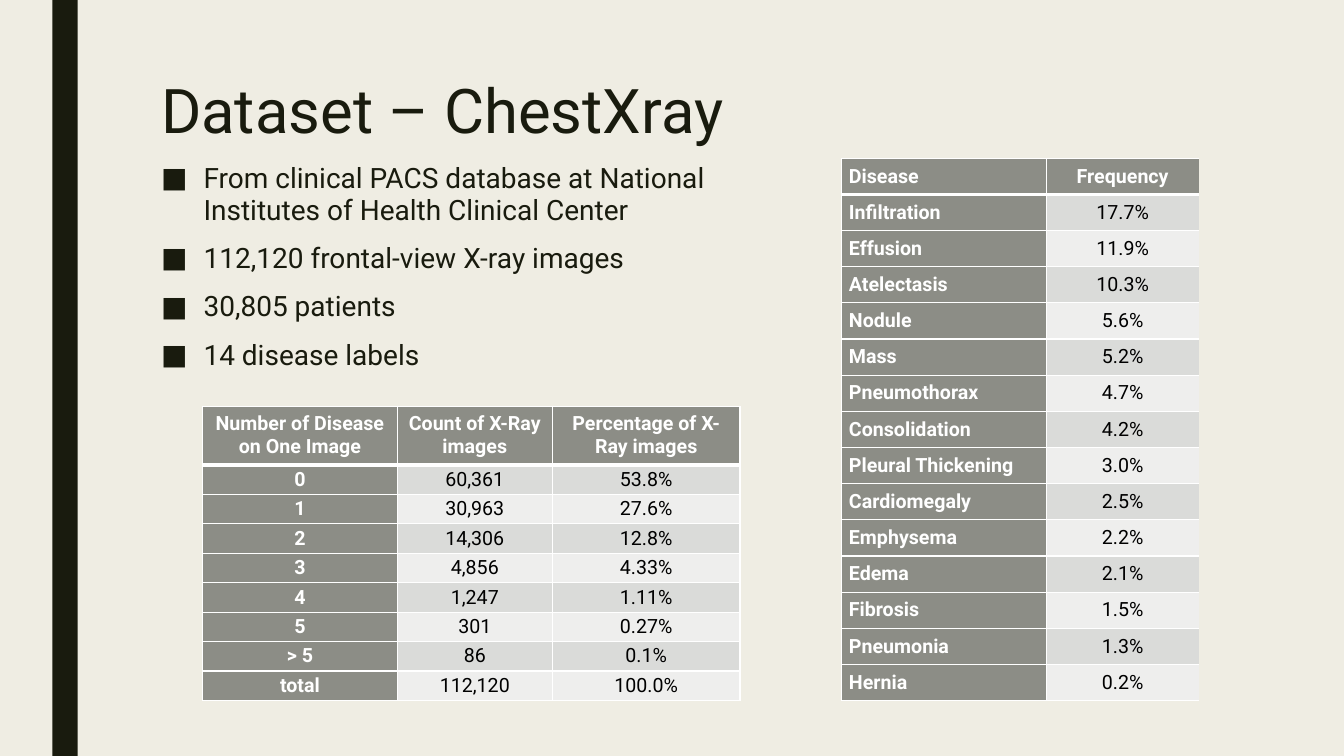
from lxml.etree import SubElement
from pptx import Presentation
from pptx.dml.color import RGBColor
from pptx.enum.shapes import MSO_SHAPE as Preset
from pptx.enum.text import MSO_ANCHOR as Anchor, PP_ALIGN as Align
from pptx.oxml.ns import qn
from pptx.util import Inches, Pt

TITLE = "Dataset – ChestXray"
FACTS = [
    "From clinical PACS database at National Institutes of Health Clinical Center",
    "112,120 frontal-view X-ray images",
    "30,805 patients",
    "14 disease labels",
]
IMAGE_COUNTS = [
    ("Number of Disease on One Image", "Count of X-Ray images", "Percentage of X-Ray images"),
    ("0", "60,361", "53.8%"),
    ("1", "30,963", "27.6%"),
    ("2", "14,306", "12.8%"),
    ("3", "4,856", "4.33%"),
    ("4", "1,247", "1.11%"),
    ("5", "301", "0.27%"),
    ("> 5", "86", "0.1%"),
    ("total", "112,120", "100.0%"),
]
FREQUENCIES = [
    ("Disease", "Frequency"),
    ("Infiltration", "17.7%"),
    ("Effusion", "11.9%"),
    ("Atelectasis", "10.3%"),
    ("Nodule", "5.6%"),
    ("Mass", "5.2%"),
    ("Pneumothorax", "4.7%"),
    ("Consolidation", "4.2%"),
    ("Pleural Thickening", "3.0%"),
    ("Cardiomegaly", "2.5%"),
    ("Emphysema", "2.2%"),
    ("Edema", "2.1%"),
    ("Fibrosis", "1.5%"),
    ("Pneumonia", "1.3%"),
    ("Hernia", "0.2%"),
]
COLORS = {
    "background": "EFEDE3", "ink": "191B0E", "header": "8C8D86",
    "odd": "DADBD9", "even": "EEEEED", "white": "FFFFFF", "black": "000000",
}
FONT = "Roboto"


def color(name):
    return RGBColor.from_string(COLORS[name])


def style(paragraph, size, ink, bold=False):
    font = paragraph.runs[0].font
    font.name, font.size, font.bold = FONT, Pt(size), bold
    font.color.rgb = color(ink)


def text_frame(slide, left, top, width, height):
    frame = slide.shapes.add_textbox(*map(Inches, (left, top, width, height))).text_frame
    frame.word_wrap = True
    return frame


def add_bullet(paragraph, indent):
    properties = paragraph._p.get_or_add_pPr()
    properties.set("marL", str(Inches(indent)))
    properties.set("indent", str(-Inches(indent)))
    SubElement(properties, qn("a:buFont"), typeface=FONT)
    SubElement(properties, qn("a:buChar"), char="■")


def add_borders(cell, widths):
    properties = cell._tc.get_or_add_tcPr()
    for index, (side, width) in enumerate(widths.items()):
        line = properties.makeelement(qn(f"a:ln{side}"), {"w": str(Pt(width))})
        if width:
            fill = SubElement(line, qn("a:solidFill"))
            SubElement(fill, qn("a:srgbClr"), val=COLORS["white"])
        else:
            SubElement(line, qn("a:noFill"))
        properties.insert(index, line)


def add_data_table(slide, rows, left, top, widths, height, header_units,
                   label_align, space_after, right_edge):
    unit = height / (len(rows) - 1 + header_units)
    table = slide.shapes.add_table(
        len(rows), len(widths), Inches(left), Inches(top),
        Inches(sum(widths)), Inches(height)).table
    for column, width in zip(table.columns, widths):
        column.width = Inches(width)
    for r, values in enumerate(rows):
        table.rows[r].height = Inches(unit * (1 if r else header_units))
        for c, value in enumerate(values):
            cell = table.cell(r, c)
            heading = r == 0 or c == 0
            cell.fill.solid()
            cell.fill.fore_color.rgb = color(
                "header" if heading else "odd" if r % 2 else "even")
            cell.vertical_anchor = Anchor.MIDDLE
            cell.margin_left = cell.margin_right = Inches(0.07)
            cell.margin_top = cell.margin_bottom = 0
            cell.text_frame.text = value
            paragraph = cell.text_frame.paragraphs[0]
            paragraph.alignment = Align.CENTER if c else label_align
            paragraph.space_before, paragraph.space_after = Pt(3), Pt(space_after)
            style(paragraph, 14, "white" if heading else "black", heading)
            right = right_edge if c == len(widths) - 1 else 1
            add_borders(cell, {"L": 1, "R": right, "T": 1, "B": 1 if r else 3})


def main():
    deck = Presentation()
    deck.slide_width, deck.slide_height = Inches(13.33), Inches(7.5)
    slide = deck.slides.add_slide(deck.slide_layouts[6])
    slide.background.fill.solid()
    slide.background.fill.fore_color.rgb = color("background")

    stripe = slide.shapes.add_shape(
        Preset.RECTANGLE, Inches(0.52), 0, Inches(0.25), deck.slide_height)
    stripe.shadow.inherit = False
    stripe.fill.solid()
    stripe.fill.fore_color.rgb = color("ink")
    stripe.line.fill.background()

    title = text_frame(slide, 1.5, 0.75, 10.5, 1.62)
    title.text = TITLE
    title.paragraphs[0].line_spacing = 0.89
    style(title.paragraphs[0], 44, "ink")

    facts = text_frame(slide, 1.5, 1.57, 6.65, 3.92)
    facts.text = "\n".join(FACTS)
    for paragraph in facts.paragraphs:
        paragraph.line_spacing = 0.94
        paragraph.space_before, paragraph.space_after = Pt(10), Pt(2)
        style(paragraph, 20, "ink")
        add_bullet(paragraph, 0.42)

    add_data_table(slide, IMAGE_COUNTS, 2.01, 4.03, (1.93, 1.54, 1.86), 2.92,
                   header_units=2, label_align=Align.CENTER, space_after=6, right_edge=1)
    add_data_table(slide, FREQUENCIES, 8.35, 1.57, (2.03, 1.51), 5.38,
                   header_units=1, label_align=Align.LEFT, space_after=3, right_edge=0)
    deck.save("out.pptx")


if __name__ == "__main__":
    main()
